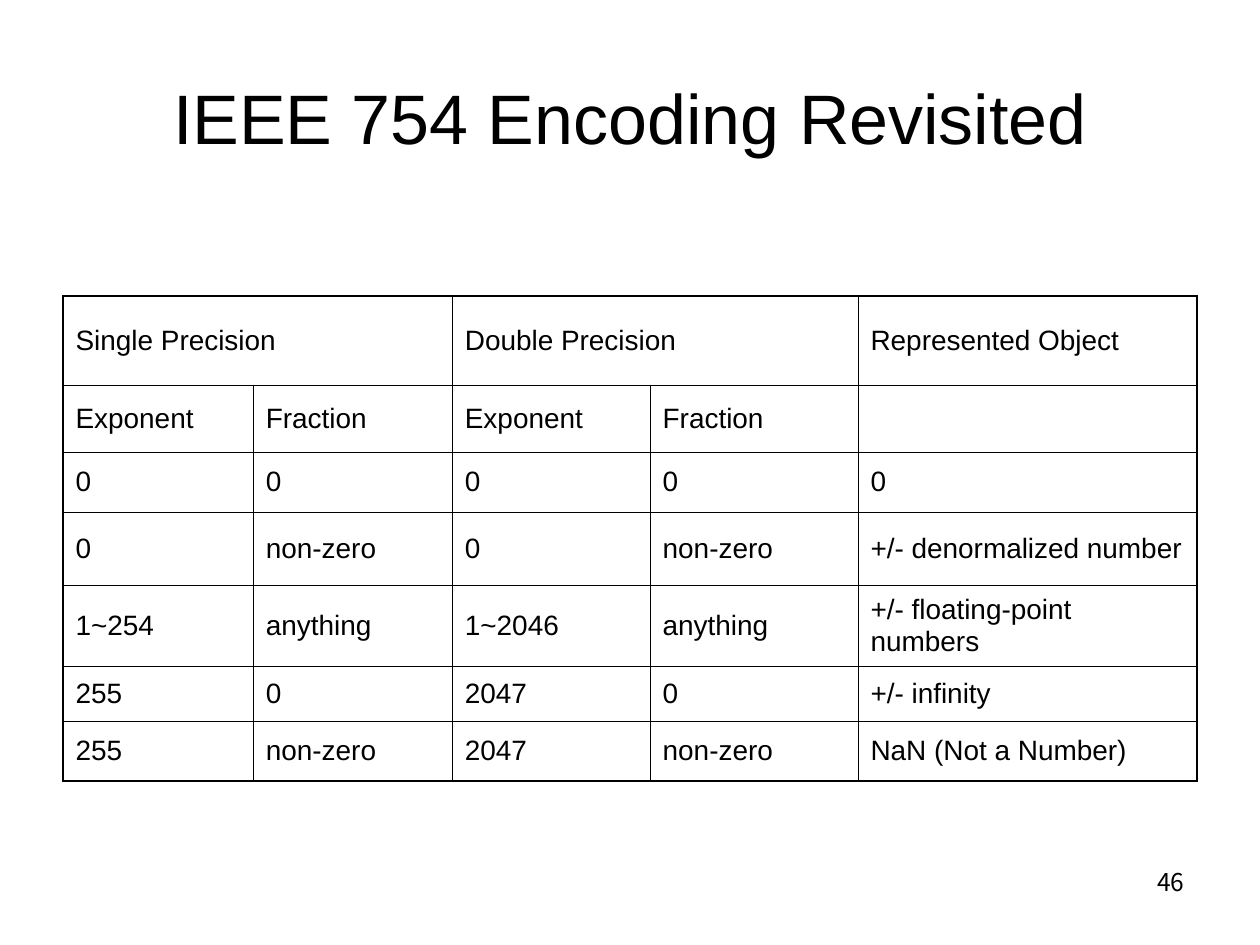
from pptx import Presentation
from pptx.dml.color import RGBColor
from pptx.enum.text import MSO_ANCHOR, PP_ALIGN
from pptx.oxml import parse_xml
from pptx.oxml.ns import nsdecls
from pptx.util import Emu, Inches, Pt

MIDDLE = MSO_ANCHOR.MIDDLE
CENTER, RIGHT = PP_ALIGN.CENTER, PP_ALIGN.RIGHT
TITLE_ONLY = 5
BLACK = "000000"
THIN, THICK = 0.45, 1.08

TITLE_FONT = {"name": "Arial", "size": Pt(40)}
CELL_FONT = {"name": "Arial", "size": Pt(16), "bold": False}
NUMBER_FONT = {"name": "Noto Sans CJK KR", "size": Pt(14)}

COLUMN_WIDTHS = [1.51, 1.58, 1.57, 1.65, 2.69]
ROW_HEIGHTS = [0.71, 0.53, 0.48, 0.58, 0.64, 0.44, 0.47]
ENCODINGS = [
    ["Single Precision", "", "Double Precision", "", "Represented Object"],
    ["Exponent", "Fraction", "Exponent", "Fraction", ""],
    ["0", "0", "0", "0", "0"],
    ["0", "non-zero", "0", "non-zero", "+/- denormalized number"],
    ["1~254", "anything", "1~2046", "anything", "+/- floating-point numbers"],
    ["255", "0", "2047", "0", "+/- infinity"],
    ["255", "non-zero", "2047", "non-zero", "NaN (Not a Number)"],
]


def color(value):
    return RGBColor.from_string(value)


def place(deck, left, top, width, height):
    """Turn shares of the slide's size into lengths."""
    sizes = [deck.slide_width, deck.slide_height] * 2
    return [Emu(round(share * size))
            for share, size in zip((left, top, width, height), sizes)]


def write(frame, text, font_format, align=None):
    frame.word_wrap = True
    para = frame.paragraphs[0]
    para.alignment = align
    span = para.add_run()
    span.text = text
    for name, value in font_format.items():
        setattr(span.font, name, value)
    span.font.color.rgb = color(BLACK)


def set_borders(cell, widths):
    """Draw the left, right, top and bottom borders of a cell."""
    properties = cell._tc.get_or_add_tcPr()
    for index, (side, width) in enumerate(zip("LRTB", widths)):
        properties.insert(index, parse_xml(
            f'<a:ln{side} {nsdecls("a")} w="{Pt(width)}"><a:solidFill>'
            f'<a:srgbClr val="{BLACK}"/></a:solidFill></a:ln{side}>'))


def add_title(deck, page, text):
    title = page.shapes.title
    title.left, title.top, title.width, title.height = place(
        deck, 0.05, 0.04, 0.9, 1 / 6)
    title.text_frame.vertical_anchor = MIDDLE
    write(title.text_frame, text, TITLE_FONT, CENTER)


def add_encoding_table(deck, page):
    last_row, last_column = len(ROW_HEIGHTS) - 1, len(COLUMN_WIDTHS) - 1
    area = place(deck, 0.05, 0.313, 0.9, sum(ROW_HEIGHTS) / 7.5)
    table = page.shapes.add_table(last_row + 1, last_column + 1, *area).table
    table.first_row = table.horz_banding = False

    for column, width in zip(table.columns, COLUMN_WIDTHS):
        column.width = Inches(width)
    for row, height in zip(table.rows, ROW_HEIGHTS):
        row.height = Inches(height)

    # Each precision heading spans its exponent and fraction columns
    for first in (0, 2):
        table.cell(0, first).merge(table.cell(0, first + 1))

    # Thick frame outside, thin grid inside
    for r, texts in enumerate(ENCODINGS):
        for c, text in enumerate(texts):
            cell = table.cell(r, c)
            cell.fill.background()
            cell.vertical_anchor = MIDDLE
            if text:
                write(cell.text_frame, text, CELL_FONT)
            outer = (c == 0, c == last_column, r == 0, r == last_row)
            set_borders(cell, [THICK if edge else THIN for edge in outer])


def add_page_number(deck, page, number):
    box = page.shapes.add_textbox(*place(deck, 0.717, 0.911, 0.233, 0.069))
    write(box.text_frame, number, NUMBER_FONT, RIGHT)


def main():
    deck = Presentation()
    deck.slide_width, deck.slide_height = Inches(10), Inches(7.5)
    page = deck.slides.add_slide(deck.slide_layouts[TITLE_ONLY])
    add_page_number(deck, page, "46")
    add_title(deck, page, "IEEE 754 Encoding Revisited")
    add_encoding_table(deck, page)
    deck.save("out.pptx")


if __name__ == "__main__":
    main()
